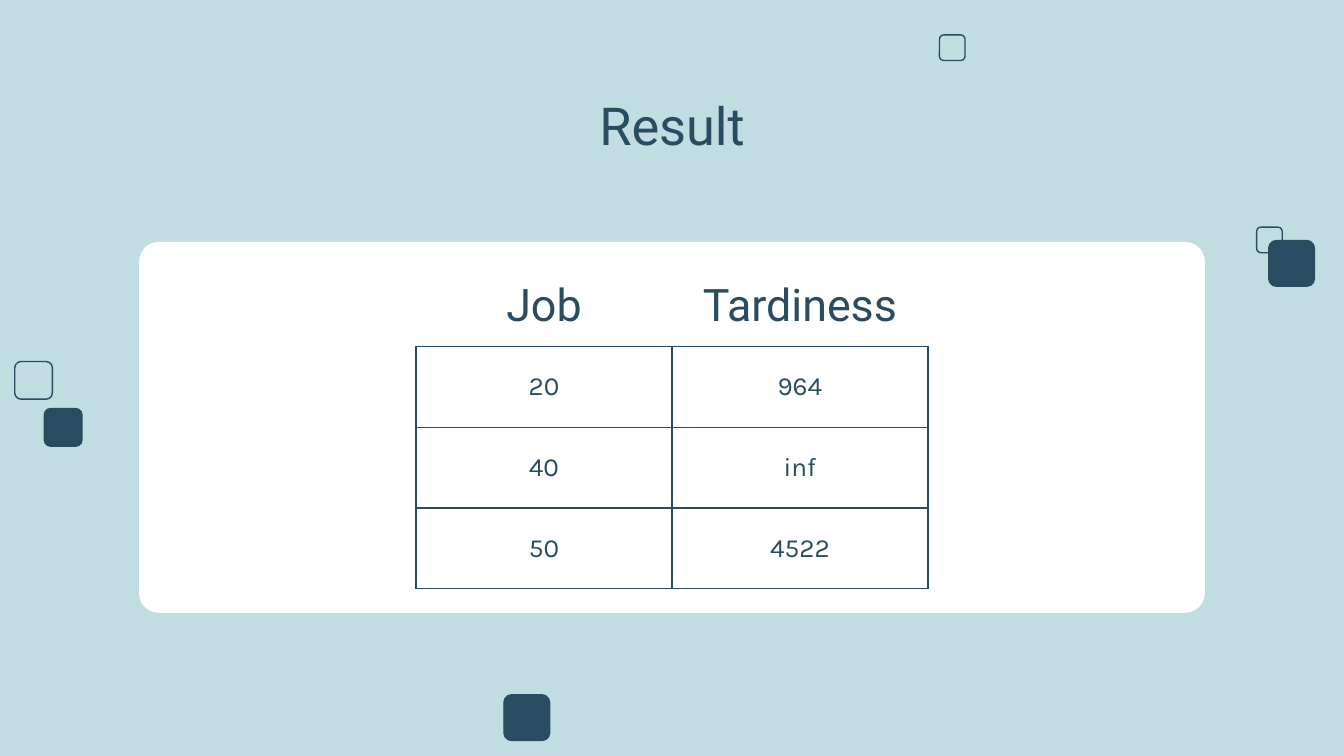
from lxml.etree import SubElement
from pptx import Presentation
from pptx.dml.color import RGBColor
from pptx.enum.shapes import MSO_SHAPE
from pptx.enum.text import MSO_ANCHOR, PP_ALIGN
from pptx.oxml.ns import qn
from pptx.util import Inches, Pt

COLORS = {"background": "C1DDE2", "navy": "294C60", "panel": "FFFFFF"}
LINE_WIDTH = 0.75
SLIDE_WIDTH = 10
SLIDE_HEIGHT = SLIDE_WIDTH * 9 / 16
MARGINS = dict.fromkeys(
    ("margin_left", "margin_right", "margin_top", "margin_bottom"), Inches(0.1))
RESULTS = [("Job", "Tardiness"), ("20", "964"), ("40", "inf"), ("50", "4522")]
SQUARES = [
    (9.35, 1.69, 0.19, None),
    (9.44, 1.79, 0.34, "navy"),
    (0.11, 2.69, 0.28, None),
    (0.33, 3.04, 0.28, "navy"),
    (6.99, 0.26, 0.19, None),
    (3.75, 5.17, 0.34, "navy"),
]


def color(name):
    """Return the named palette color."""
    return RGBColor.from_string(COLORS[name])


def apply_format(target, values):
    """Set each named attribute on the target."""
    for attribute, value in values.items():
        setattr(target, attribute, value)


def write_text(frame, text, font_name, size):
    """Fill a text frame with one centered navy line."""
    paragraph = frame.paragraphs[0]
    paragraph.alignment = PP_ALIGN.CENTER
    run = paragraph.add_run()
    run.text = text
    apply_format(run.font, {"name": font_name, "size": Pt(size), "bold": False})
    run.font.color.rgb = color("navy")


def add_rounded_box(slide, box, corner, fill=None, outline=None):
    """Add a rounded rectangle with an optional fill and outline."""
    rounded = slide.shapes.add_shape(MSO_SHAPE.ROUNDED_RECTANGLE, *map(Inches, box))
    rounded.adjustments[0] = corner
    rounded.shadow.inherit = False
    if fill:
        rounded.fill.solid()
        rounded.fill.fore_color.rgb = color(fill)
    else:
        rounded.fill.background()
    if outline:
        rounded.line.color.rgb = color(outline)
        rounded.line.width = Pt(LINE_WIDTH)
    else:
        rounded.line.fill.background()


def add_squares(slide):
    """Scatter the small decorative squares."""
    for left, top, side, fill in SQUARES:
        add_rounded_box(slide, (left, top, side, side), 0.167, fill, "navy")


def place_title(slide, text, box):
    """Move and format the title placeholder."""
    title = slide.shapes.title
    apply_format(title, dict(zip(("left", "top", "width", "height"), map(Inches, box))))
    apply_format(title.text_frame, {**MARGINS, "vertical_anchor": MSO_ANCHOR.TOP})
    write_text(title.text_frame, text, "Roboto", 28)


def set_borders(cell, visible_sides):
    """Draw the named cell sides in navy and hide the others."""
    properties = cell._tc.get_or_add_tcPr()
    for side in "LRTB":
        border = SubElement(properties, qn(f"a:ln{side}"), w=str(Pt(LINE_WIDTH)))
        if side in visible_sides:
            fill = SubElement(border, qn("a:solidFill"))
            SubElement(fill, qn("a:srgbClr"), val=COLORS["navy"])
        else:
            SubElement(border, qn("a:noFill"))


def add_results(slide, box):
    """Add the table of results, split evenly within the box."""
    table = slide.shapes.add_table(
        len(RESULTS), len(RESULTS[0]), *map(Inches, box)).table
    apply_format(table, {"first_row": False, "horz_banding": False})
    for row_index, record in enumerate(RESULTS):
        is_header = row_index == 0
        font = ("Roboto", 24) if is_header else ("Karla", 14)
        for column_index, text in enumerate(record):
            cell = table.cell(row_index, column_index)
            apply_format(cell, {**MARGINS, "vertical_anchor": MSO_ANCHOR.MIDDLE})
            set_borders(cell, "B" if is_header else "LRTB")
            cell.fill.background()
            write_text(cell.text_frame, text, *font)


def add_result_panel(slide, box):
    """Add the white panel with the table centered across it."""
    left, top, width, height = box
    add_rounded_box(slide, box, 0.053, "panel")
    table_width, table_height = 3.81, 2.4
    add_results(slide, (left + (width - table_width) / 2, top + 0.18,
                        table_width, table_height))


def main():
    """Build and save the result slide."""
    presentation = Presentation()
    presentation.slide_width = Inches(SLIDE_WIDTH)
    presentation.slide_height = Inches(SLIDE_HEIGHT)
    slide = presentation.slides.add_slide(presentation.slide_layouts[5])
    slide.background.fill.solid()
    slide.background.fill.fore_color.rgb = color("background")
    add_squares(slide)
    panel_width = 7.93
    add_result_panel(slide, ((SLIDE_WIDTH - panel_width) / 2, 1.8, panel_width, 2.76))
    place_title(slide, "Result", (0.78, 0.59, 8.44, 0.63))
    presentation.save("out.pptx")


if __name__ == "__main__":
    main()
